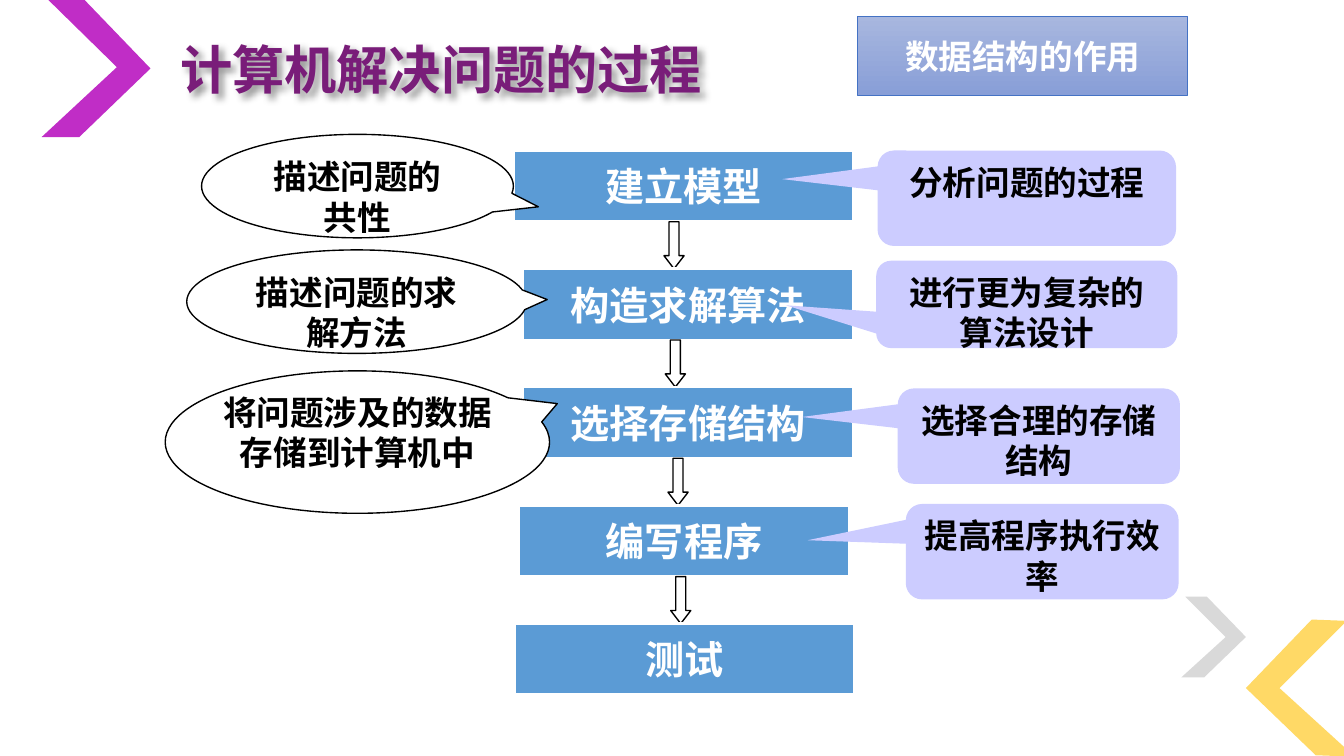
import pptx
import pptx.util
import pptx.oxml
import pptx.dml.color
import pptx.enum.shapes
import pptx.enum.text

Inches = pptx.util.Inches
KIND = pptx.enum.shapes.MSO_SHAPE
ALIGN = pptx.enum.text.PP_ALIGN
ANCHOR = pptx.enum.text.MSO_ANCHOR
SANS = "Noto Sans CJK SC"
SERIF = "Times New Roman"
NS = 'xmlns:a="http://schemas.openxmlformats.org/drawingml/2006/main"'

COLORS = {
    "white": "FFFFFF", "black": "000000", "purple": "C02DC6",
    "gray": "D9D9D9", "gold": "FFD966", "step": "5B9BD5",
    "note": "CCCCFF", "title": "791D79", "edge": "4472C4",
    "light": "A8B7DF", "deep": "889ED7",
}

CHEVRONS = [
    ("purple", [(1.12, 0.51), (0.59, 1.02), (0.31, 1.02), (0.87, 0.5),
                (0.35, -0.01), (0.62, -0.01)]),
    ("gray", [(9.27, 4.74), (8.96, 5.04), (8.79, 5.04), (9.12, 4.74),
              (8.82, 4.44), (8.98, 4.44)]),
    ("gold", [(9.27, 5.12), (9.79, 5.62), (10.08, 5.63), (9.52, 5.12),
              (10.02, 4.62), (9.76, 4.61)]),
]
STEPS = [
    ("建立模型", 3.82, 2.53), ("构造求解算法", 3.89, 2.46),
    ("选择存储结构", 3.89, 2.46), ("编写程序", 3.86, 2.46),
    ("测试", 3.83, 2.53),
]
ARROWS = [4.94, 4.95, 4.97, 4.99]
BUBBLES = [
    ("描述问题的共性", (1.5, 1, 2.32, 0.77), (0.58, 0.2), None),
    ("描述问题的求解方法", (1.39, 1.86, 2.53, 0.77), (0.56, -0.02), None),
    ("将问题涉及的数据存储到计算机中", (1.23, 2.76, 2.86, 1.06),
     (0.52, -0.27), (0, 0, 0, 0.01)),
]
NOTES = [
    ("分析问题的过程", (6.53, 1.12, 2.22, 0.71), (-0.82, -0.2, 0.17)),
    ("进行更为复杂的算法设计", (6.52, 1.94, 2.24, 0.65), (-0.8, 0.01, 0.17)),
    ("选择合理的存储结构", (6.68, 2.89, 2.1, 0.71), (-0.84, -0.2, 0.17)),
    ("提高程序执行效率", (6.74, 3.75, 2.03, 0.71), (-0.86, -0.12, 0.17)),
]


def color(name):
    return pptx.dml.color.RGBColor.from_string(COLORS[name])


def paint(shape, fill, line=None, width=0.75):
    shape.shadow.inherit = False
    if fill:
        shape.fill.solid()
        shape.fill.fore_color.rgb = color(fill)
    if line:
        shape.line.color.rgb = color(line)
        shape.line.width = pptx.util.Pt(width)
    else:
        shape.line.fill.background()


def write(shape, text, size=18, ink="black", font=SERIF, align=ALIGN.CENTER,
          anchor=ANCHOR.TOP, wrap=True, inset=None, space=None):
    frame = shape.text_frame
    frame.word_wrap = wrap
    frame.vertical_anchor = anchor
    if inset:
        (frame.margin_left, frame.margin_top,
         frame.margin_right, frame.margin_bottom) = map(Inches, inset)
    para = frame.paragraphs[0]
    para.alignment = align
    para.line_spacing = space
    run = para.add_run()
    run.text = text
    run.font.size = pptx.util.Pt(size)
    run.font.bold = True
    run.font.color.rgb = color(ink)
    run.font.name = font
    run.font._element.find(pptx.oxml.ns.qn("a:latin")).addnext(
        pptx.oxml.parse_xml(f'<a:ea {NS} typeface="{SANS}"/>'))


def add(slide, kind, place, bends=()):
    shape = slide.shapes.add_shape(kind, *map(Inches, place))
    for i, bend in enumerate(bends):
        shape.adjustments[i] = bend
    return shape


def chevron(slide, fill, points):
    spots = [(Inches(x), Inches(y)) for x, y in points]
    pen = slide.shapes.build_freeform(*spots[0])
    pen.add_line_segments(spots[1:], close=True)
    paint(pen.convert_to_shape(), fill)


def heading(slide):
    title = slide.shapes.title
    title.left, title.top, title.width, title.height = map(
        Inches, (1.27, 0.29, 6.83, 0.5))
    write(title, "计算机解决问题的过程", size=28, ink="title", font=SANS,
          align=ALIGN.LEFT, anchor=ANCHOR.MIDDLE,
          inset=(0.07, 0.04, 0.07, 0.04), space=0.9)
    title._element.spPr.append(pptx.oxml.parse_xml(
        f'<a:effectLst {NS}><a:outerShdw blurRad="50800" dist="38100" '
        'dir="2700000"><a:srgbClr val="000000"><a:alpha val="40000"/>'
        '</a:srgbClr></a:outerShdw></a:effectLst>'))


def step(slide, row, text, left, width):
    shape = add(slide, KIND.FLOWCHART_PROCESS,
                (left, 1.12 + 0.88 * row, width, 0.53))
    paint(shape, "step", "white", 1.5)
    write(shape, text, size=21, ink="white", anchor=ANCHOR.MIDDLE, wrap=False)


def arrow(slide, row, left):
    shape = add(slide, KIND.DOWN_ARROW, (left, 1.65 + 0.88 * row, 0.15, 0.35),
                (0.5, 0.65))
    paint(shape, "white", "black")


def bubble(slide, text, place, bends, inset):
    shape = add(slide, KIND.OVAL_CALLOUT, place, bends)
    paint(shape, "white", "black")
    write(shape, text, inset=inset)


def note(slide, text, place, bends):
    shape = add(slide, KIND.ROUNDED_RECTANGULAR_CALLOUT, place, bends)
    paint(shape, "note")
    write(shape, text)


def banner(slide):
    shape = add(slide, KIND.RECTANGLE, (6.38, 0.12, 2.46, 0.59))
    paint(shape, None, "edge", 0.5)
    shape.fill.gradient()
    shape.fill.gradient_angle = 270
    for stop, name in zip(shape.fill.gradient_stops, ("light", "deep")):
        stop.color.rgb = color(name)
    write(shape, "数据结构的作用", ink="white", font=SANS,
          anchor=ANCHOR.MIDDLE, wrap=False)


def main():
    deck = pptx.Presentation()
    deck.slide_width = Inches(10)
    deck.slide_height = Inches(10 * 9 / 16)
    slide = deck.slides.add_slide(deck.slide_layouts[5])
    for item in CHEVRONS:
        chevron(slide, *item)
    heading(slide)
    for row, item in enumerate(STEPS):
        step(slide, row, *item)
        if row < len(ARROWS):
            arrow(slide, row, ARROWS[row])
    for item in BUBBLES:
        bubble(slide, *item)
    banner(slide)
    for item in NOTES:
        note(slide, *item)
    deck.save("out.pptx")


if __name__ == "__main__":
    main()
